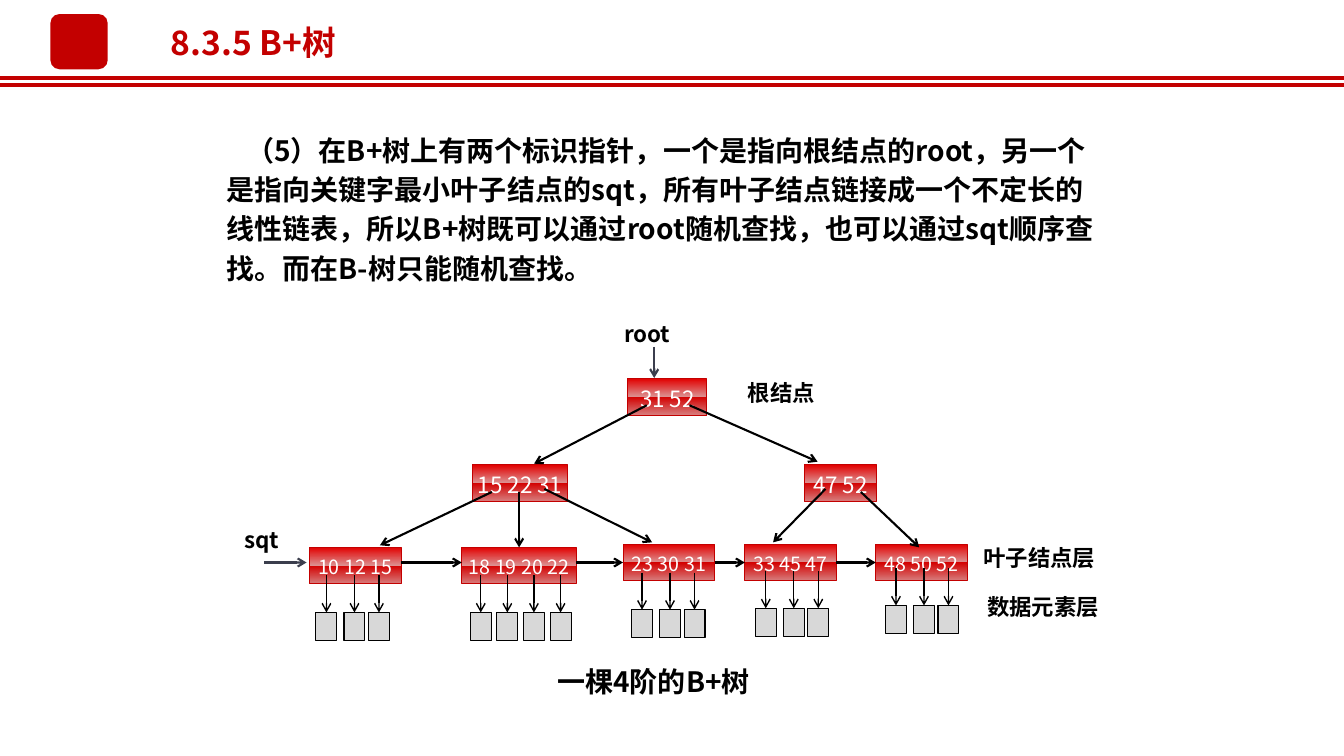
from dataclasses import dataclass
from itertools import pairwise

from lxml import etree
from pptx import Presentation
from pptx.dml.color import RGBColor
from pptx.enum.shapes import MSO_CONNECTOR, MSO_SHAPE
from pptx.enum.text import MSO_ANCHOR, PP_ALIGN
from pptx.oxml.ns import qn
from pptx.util import Pt

RECTANGLE, ROUNDED = MSO_SHAPE.RECTANGLE, MSO_SHAPE.ROUNDED_RECTANGLE
STRAIGHT = MSO_CONNECTOR.STRAIGHT
TOP, MIDDLE = MSO_ANCHOR.TOP, MSO_ANCHOR.MIDDLE
LEFT, CENTER = PP_ALIGN.LEFT, PP_ALIGN.CENTER
SIDE_TOP, SIDE_LEFT, SIDE_RIGHT = 0, 1, 3
TITLE_ONLY = 5


@dataclass(frozen=True)
class Theme:
    font: str = "Noto Sans CJK SC"
    red: str = "C30000"
    black: str = "000000"
    white: str = "FFFFFF"
    slate: str = "3B3E4D"
    gray: str = "D8D8D8"
    gradient: tuple = ((0, "E20000"), (50, "DC9090"), (50, "D30000"), (100, "D77C7C"))
    title_size: int = 24
    body_size: int = 20
    label_size: int = 16
    leaf_size: int = 14


class SlideBuilder:
    def __init__(self, slide, theme):
        self.slide = slide
        self.theme = theme

    def set_text(self, shape, text, size, color, bold=True, align=CENTER, anchor=TOP,
                 insets=(0, 0), spacing=None, indent=0):
        frame = shape.text_frame
        frame.word_wrap = True
        frame.vertical_anchor = anchor
        frame.margin_left = frame.margin_right = Pt(insets[0])
        frame.margin_top = frame.margin_bottom = Pt(insets[1])
        paragraph = frame.paragraphs[0]
        paragraph.text = text
        paragraph.alignment = align
        paragraph.space_before = Pt(0)
        if spacing:
            paragraph.line_spacing = Pt(spacing)
        font = paragraph.font
        font.size, font.bold, font.name = Pt(size), bold, self.theme.font
        font.color.rgb = RGBColor.from_string(color)
        properties = paragraph._p.get_or_add_pPr()
        properties.set("indent", str(Pt(indent)))
        east_asian = etree.SubElement(properties.find(qn("a:defRPr")), qn("a:ea"))
        east_asian.set("typeface", self.theme.font)

    def title(self, text, left, top, width, height):
        shape = self.slide.shapes.title
        shape.left, shape.top = Pt(left), Pt(top)
        shape.width, shape.height = Pt(width), Pt(height)
        self.set_text(shape, text, self.theme.title_size, self.theme.red,
                      anchor=MIDDLE, insets=(7.2, 3.6))

    def box(self, left, top, width, height, fill, line=None, weight=0.75, kind=RECTANGLE):
        shape = self.slide.shapes.add_shape(kind, Pt(left), Pt(top), Pt(width), Pt(height))
        shape.shadow.inherit = False
        shape.fill.solid()
        shape.fill.fore_color.rgb = RGBColor.from_string(fill)
        if line:
            shape.line.color.rgb = RGBColor.from_string(line)
            shape.line.width = Pt(weight)
        else:
            shape.line.fill.background()
        return shape

    def label(self, text, left, top, width, height):
        shape = self.box(left, top, width, height, self.theme.white)
        self.set_text(shape, text, self.theme.label_size, self.theme.black)

    def node(self, text, left, top, width, size):
        shape = self.box(left, top, width, 26, self.theme.red, self.theme.red, 0.5)
        shape.fill.gradient()
        shape.fill.gradient_angle = 270
        stops = shape._element.spPr.find(".//" + qn("a:gsLst"))
        stops.clear()
        for position, color in self.theme.gradient:
            stop = etree.SubElement(stops, qn("a:gs"), pos=str(position * 1000))
            etree.SubElement(stop, qn("a:srgbClr"), val=color)
        self.set_text(shape, text, size, self.theme.white, bold=False, spacing=size + 8)
        return shape

    def line(self, start, end, color=None, weight=1.5, arrow=True, source=None, target=None):
        """source and target are (shape, side) pairs to join."""
        connector = self.slide.shapes.add_connector(
            STRAIGHT, Pt(start[0]), Pt(start[1]), Pt(end[0]), Pt(end[1]))
        if source:
            connector.begin_connect(*source)
        if target:
            connector.end_connect(*target)
        connector.line.color.rgb = RGBColor.from_string(color or self.theme.black)
        connector.line.width = Pt(weight)
        properties = connector._element.spPr
        if arrow:
            etree.SubElement(properties.find(qn("a:ln")), qn("a:tailEnd"), type="arrow")
        etree.SubElement(properties, qn("a:effectLst"))


def main():
    theme = Theme()
    presentation = Presentation()
    presentation.slide_width, presentation.slide_height = Pt(960), Pt(540)
    slide = presentation.slides.add_slide(presentation.slide_layouts[TITLE_ONLY])
    builder = SlideBuilder(slide, theme)

    # Header
    for rule_y in (55.5, 61):
        builder.line((0, rule_y), (960, rule_y), theme.red, 3, arrow=False)
    builder.box(36, 10, 41, 39.5, theme.red, kind=ROUNDED)
    builder.title("8.3.5 B+树", 82.8, 12.2, 196.5, 36)

    # Explanation
    explanation = builder.box(154.8, 82.8, 635.8, 130.3, theme.white)
    builder.set_text(
        explanation,
        "（5）在B+树上有两个标识指针，一个是指向根结点的root，另一个是指向关键字最小叶子结点的sqt，"
        "所有叶子结点链接成一个不定长的线性链表，所以B+树既可以通过root随机查找，"
        "也可以通过sqt顺序查找。而在B-树只能随机查找。",
        theme.body_size, theme.black, align=LEFT, insets=(7.2, 8.6), spacing=28, indent=14)

    # Labels
    for text, left, top, width, height in (
        ("sqt", 172, 375.8, 30.2, 24.5),
        ("root", 440, 229, 44.6, 24.5),
        ("根结点", 527.8, 270.7, 60.5, 26),
        ("叶子结点层", 697, 388.8, 90.7, 26),
        ("数据元素层", 699.8, 423.4, 90.7, 26),
    ):
        builder.label(text, left, top, width, height)

    # Root and inner nodes
    for text, left, top, width in (
        ("31 52", 448.4, 270.5, 56.5),
        ("15 22 31", 337.5, 332, 68),
        ("47 52", 574.5, 332, 51.5),
    ):
        builder.node(text, left, top, width, theme.label_size)

    # Leaves with their data elements: text, left, top, width, pointer top, pointer offsets
    three_keys = (0, 20, 37.5)
    leaves = []
    for text, left, top, width, pointer_top, first, offsets in (
        ("10 12 15", 221, 391, 65.5, 411, 12.2, three_keys),
        ("18 19 20 22", 329.8, 391, 82, 411, 13.6, (0, 19, 38, 57)),
        ("23 30 31", 445, 388.8, 65.5, 409, 13.6, three_keys),
        ("33 45 47", 532, 388.8, 65.5, 408, 15, three_keys),
        ("48 50 52", 625.5, 388.8, 65.5, 406, 14.5, three_keys),
    ):
        leaf = builder.node(text, left, top, width, theme.leaf_size)
        leaves.append((leaf, left, top, width))
        for offset in offsets:
            x, element_top = left + first + offset, pointer_top + 26.5
            element = builder.box(x - 7.5, element_top, 15, 20, theme.gray, theme.black)
            builder.line((x, pointer_top), (x, element_top), weight=1,
                         target=(element, SIDE_TOP))

    # Linked list of leaves, joined where the leaf is centred on the chain
    chain_y = 401.8
    for (leaf, left, top, width), (following, next_left, next_top, _) in pairwise(leaves):
        builder.line((left + width, chain_y), (next_left, chain_y),
                     source=(leaf, SIDE_RIGHT) if top + 13 == chain_y else None,
                     target=(following, SIDE_LEFT) if next_top + 13 == chain_y else None)

    # Entry pointers
    builder.line((188.6, chain_y), (219, chain_y), theme.slate)
    builder.line((467.3, 247.7), (467.3, 270), theme.slate)

    # Tree branches
    for start, end in (
        ((462, 289.5), (381.5, 331.2)),
        ((492.5, 289.5), (584, 329.8)),
        ((351.4, 351.4), (271.4, 389.5)),
        ((388.8, 349.2), (465.8, 387.4)),
        ((589.7, 349.2), (552.2, 387.4)),
        ((614.9, 351.4), (656.6, 391)),
    ):
        builder.line(start, end)
    builder.line((370.8, 351.4), (370.8, 391), target=(leaves[1][0], SIDE_TOP))

    # Caption
    caption = slide.shapes.add_textbox(Pt(391), Pt(470.9), Pt(163.4), Pt(31.7))
    builder.set_text(caption, "一棵4阶的B+树", theme.body_size, theme.black,
                     align=LEFT, insets=(7.2, 3.6))

    presentation.save("out.pptx")


if __name__ == "__main__":
    main()
